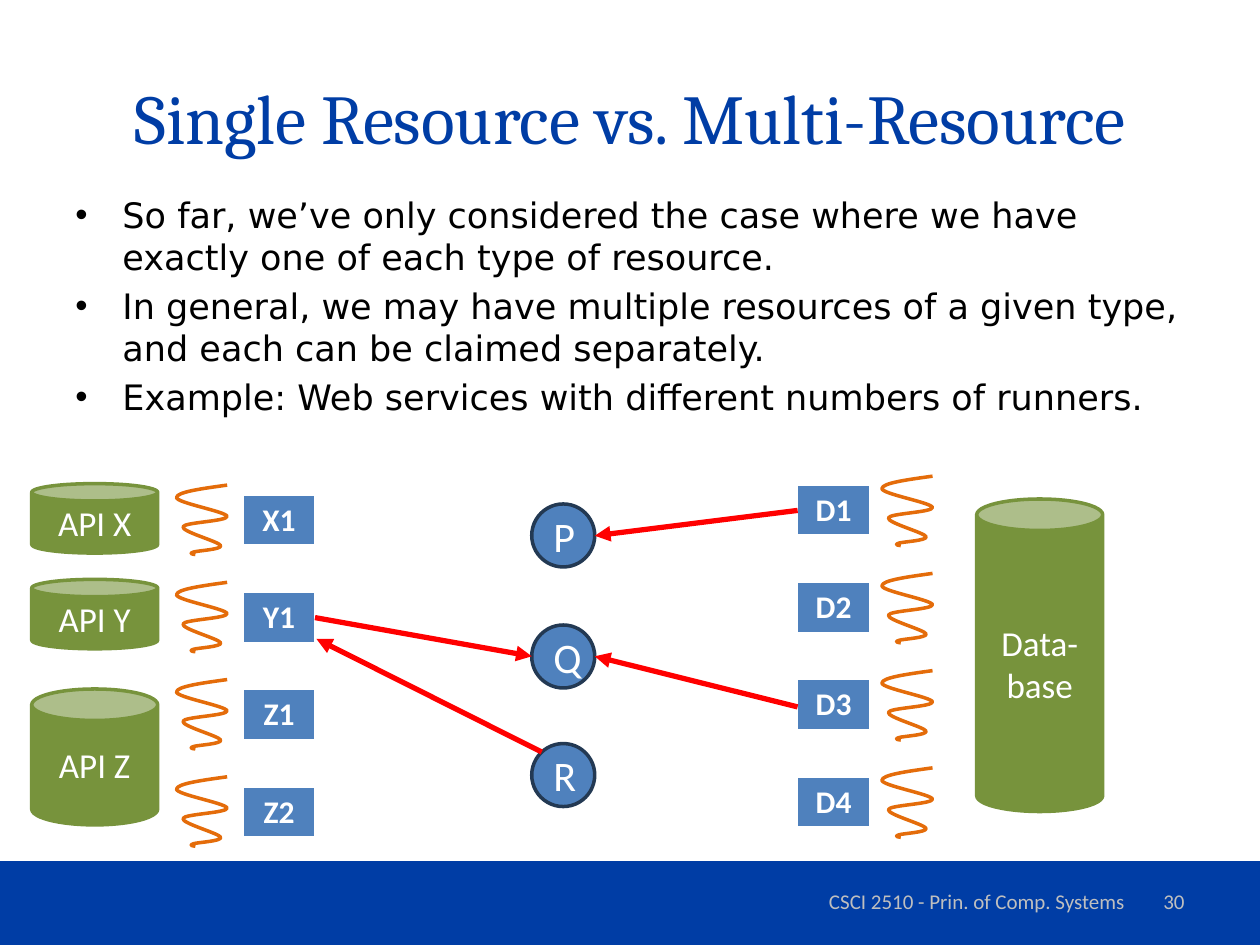
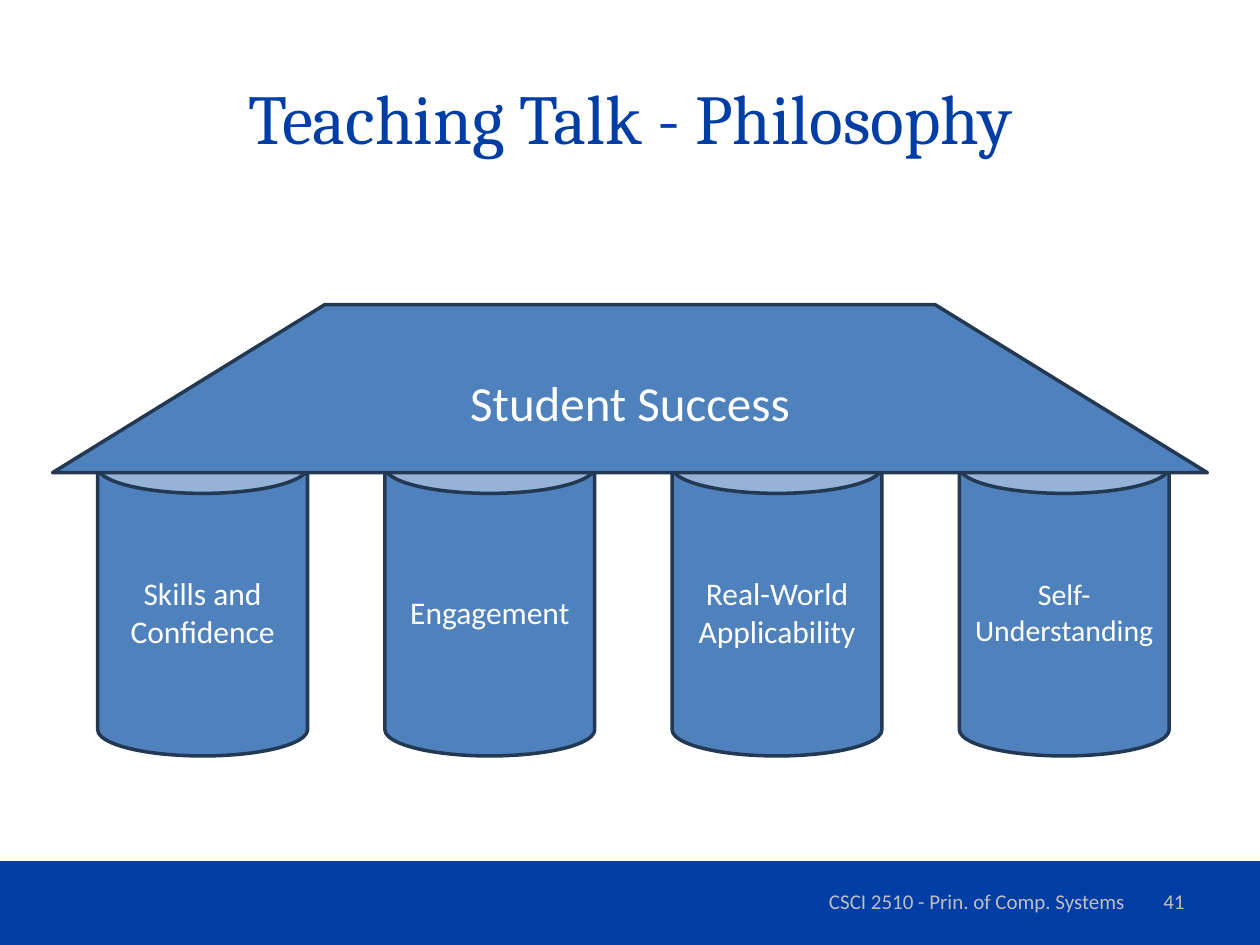
from lxml import etree
from pptx import Presentation
from pptx.dml.color import RGBColor
from pptx.enum.shapes import MSO_CONNECTOR, MSO_SHAPE as SHAPE
from pptx.enum.text import MSO_ANCHOR as ANCHOR, PP_ALIGN as ALIGN
from pptx.oxml.ns import qn
from pptx.util import Cm, Pt

COLORS = {"royal": "003DA5", "footer": "BFBFBF", "black": "000000", "white": "FFFFFF",
          "blue": "4F81BD", "navy": "233953", "green": "77933C", "orange": "E46C0A",
          "red": "FF0000"}
RGB = {name: RGBColor.from_string(value) for name, value in COLORS.items()}


def add_run(p, text, size, color="white", font="Calibri", align=ALIGN.CENTER, bold=False):
    p.alignment = align
    r = p.add_run()
    r.text = text
    r.font.size, r.font.name, r.font.bold = Pt(size), font, bold
    r.font.color.rgb = RGB[color]


def add_block(s, kind, box, fill, line, text="", size=18):
    """Add a filled preset shape with centred text; box is left, top, width, height in cm."""
    sp = s.shapes.add_shape(kind, *map(Cm, box))
    sp.shadow.inherit = False
    sp.fill.solid()
    sp.fill.fore_color.rgb = RGB[fill]
    sp.line.color.rgb = RGB[line]
    sp.line.width = Pt(2)
    tf = sp.text_frame
    tf.word_wrap = True
    tf.vertical_anchor = ANCHOR.MIDDLE
    if text:
        add_run(tf.paragraphs[0], text, size)
    return sp


prs = Presentation()
prs.slide_width, prs.slide_height = Cm(25.4), Cm(19.05)

# Title and footer of both slides
slides = []
for title, number in [("Single Resource vs. Multi-Resource", "30"),
                      ("Teaching Talk - Philosophy", "41")]:
    s = prs.slides.add_slide(prs.slide_layouts[5])
    slides.append(s)
    sp = s.shapes.title
    sp.left, sp.top, sp.width, sp.height = Cm(1.27), Cm(0.76), Cm(22.86), Cm(3.18)
    sp.text_frame.vertical_anchor = ANCHOR.MIDDLE
    add_run(sp.text_frame.paragraphs[0], title, 40, "royal", "Cambria")
    for left, width, text, align in [
            (15.67, 8.05, "CSCI 2510 - Prin. of Comp. Systems", ALIGN.CENTER),
            (18.21, 5.92, number, ALIGN.RIGHT)]:
        tf = s.shapes.add_textbox(Cm(left), Cm(17.65), Cm(width), Cm(1.02)).text_frame
        tf.word_wrap = True
        tf.vertical_anchor = ANCHOR.MIDDLE
        add_run(tf.paragraphs[0], text, 12, "footer", align=align)

# The band moves to the master, behind everything on both slides
band = add_block(slides[0], SHAPE.RECTANGLE, (0, 17.36, 25.4, 1.69), "royal", "royal")
band.line.fill.background()
band.element.nvSpPr.cNvPr.set("id", "20")
prs.slide_master.element.cSld.spTree.insert(2, band.element)

# Slide 1: resources and the processes that hold or request them
s = slides[0]
tf = s.shapes.add_textbox(Cm(1.27), Cm(3.78), Cm(22.86), Cm(12.57)).text_frame
tf.word_wrap = True
bullets = [
    "So far, we’ve only considered the case where we have exactly one of each type of resource.",
    "In general, we may have multiple resources of a given type, and each can be claimed "
    "separately.",
    "Example: Web services with different numbers of runners.",
]
for i, text in enumerate(bullets):
    p = tf.add_paragraph() if i else tf.paragraphs[0]
    p.space_before = Pt(4 if i else 0)
    pPr = p._p.get_or_add_pPr()
    pPr.set("marL", str(Cm(0.95)))
    pPr.set("indent", str(-Cm(0.95)))
    etree.SubElement(pPr, qn("a:buFont")).set("typeface", "Arial")
    etree.SubElement(pPr, qn("a:buChar")).set("char", "•")
    add_run(p, text, 20, "black", "DejaVu Sans", ALIGN.LEFT)

services = [("API X", 0.64, 9.75, 1.4), ("API Y", 0.64, 11.68, 1.4),
            ("API Z", 0.64, 13.89, 2.74), ("Data-base", 19.69, 10.06, 6.3)]
for name, left, top, height in services:
    add_block(s, SHAPE.CAN, (left, top, 2.54, height), "green", "green", name, 20)

# Thread squiggle: two control points and an end point per curve
squiggle_start = (1.02, 0)
squiggle_curves = [
    (0.51, 0.07), (0, 0.14), (0, 0.25),
    (0, 0.36), (0.99, 0.53), (1.02, 0.63),
    (1.02, 0.73), (0.15, 0.75), (0.13, 0.84),
    (0.1, 0.94), (0.86, 1.14), (0.89, 1.22),
    (0.91, 1.3), (0.43, 1.32), (0.34, 1.35),
    (0.25, 1.38), (0.3, 1.39), (0.38, 1.4),
]
ROW_PITCH = 1.96
BORDERS = [("a:lnL", 1), ("a:lnR", 1), ("a:lnT", 1), ("a:lnB", 3)]
runner_columns = [(("X1", "Y1", "Z1", "Z2"), 4.9, 9.98, 3.56, 9.78),
                  (("D1", "D2", "D3", "D4"), 16.08, 9.78, 17.78, 9.6)]
for runners, box_left, box_top, thread_left, thread_top in runner_columns:
    for row, runner in enumerate(runners):
        offset = row * ROW_PITCH
        builder = s.shapes.build_freeform(*map(Cm, squiggle_start))
        builder.add_line_segments([(Cm(x), Cm(y)) for x, y in squiggle_curves], close=False)
        thread = builder.convert_to_shape(Cm(thread_left), Cm(thread_top + offset))
        # Join each three line segments into one Bézier curve
        segments = list(thread.element.iter(qn("a:lnTo")))
        for i in range(0, len(segments), 3):
            curve = etree.SubElement(segments[i].getparent(), qn("a:cubicBezTo"))
            for segment in segments[i:i + 3]:
                curve.append(segment[0])
                segment.getparent().remove(segment)
        thread.shadow.inherit = False
        thread.fill.background()
        thread.line.color.rgb = RGB["orange"]
        thread.line.width = Pt(2)

        frame = s.shapes.add_table(1, 1, Cm(box_left), Cm(box_top + offset), Cm(1.45), Cm(1.04))
        cell = frame.table.cell(0, 0)
        tcPr = cell._tc.get_or_add_tcPr()
        for tag, width in BORDERS:
            ln = etree.SubElement(tcPr, qn(tag), w=str(Pt(width)))
            fill = etree.SubElement(ln, qn("a:solidFill"))
            etree.SubElement(fill, qn("a:srgbClr")).set("val", COLORS["white"])
        cell.fill.solid()
        cell.fill.fore_color.rgb = RGB["blue"]
        add_run(cell.text_frame.paragraphs[0], runner, 18, bold=True)

for process, top in [("P", 10.16), ("Q", 12.6), ("R", 14.99)]:
    add_block(s, SHAPE.OVAL, (10.72, top, 1.27, 1.27), "blue", "navy", process, 24)

arrows = [(16.08, 10.29, 11.99, 10.8),   # D1 to P
          (16.08, 14.25, 11.99, 13.23),  # D3 to Q
          (6.35, 12.45, 10.72, 13.23),   # Y1 to Q
          (10.92, 15.16, 6.38, 12.88)]   # R to Y1
for ends in arrows:
    arrow = s.shapes.add_connector(MSO_CONNECTOR.STRAIGHT, *map(Cm, ends))
    arrow.line.color.rgb = RGB["red"]
    arrow.line.width = Pt(3)
    etree.SubElement(arrow.line._get_or_add_ln(), qn("a:tailEnd")).set("type", "triangle")
    etree.SubElement(arrow.element.spPr, qn("a:effectLst"))

# Slide 2: four pillars under a roof
s = slides[1]
pillars = [("Skills and Confidence", 18), ("Engagement", 18),
           ("Real-World Applicability", 18), ("Self-Understanding", 17)]
for i, (text, size) in enumerate(pillars):
    add_block(s, SHAPE.CAN, (1.97 + i * 5.79, 8.89, 4.23, 6.35), "blue", "navy", text, size)
roof = add_block(s, SHAPE.TRAPEZOID, (1.06, 6.14, 23.28, 3.39), "blue", "navy",
                 "Student Success", 28)
roof.adjustments[0] = 1.62

prs.save("out.pptx")
